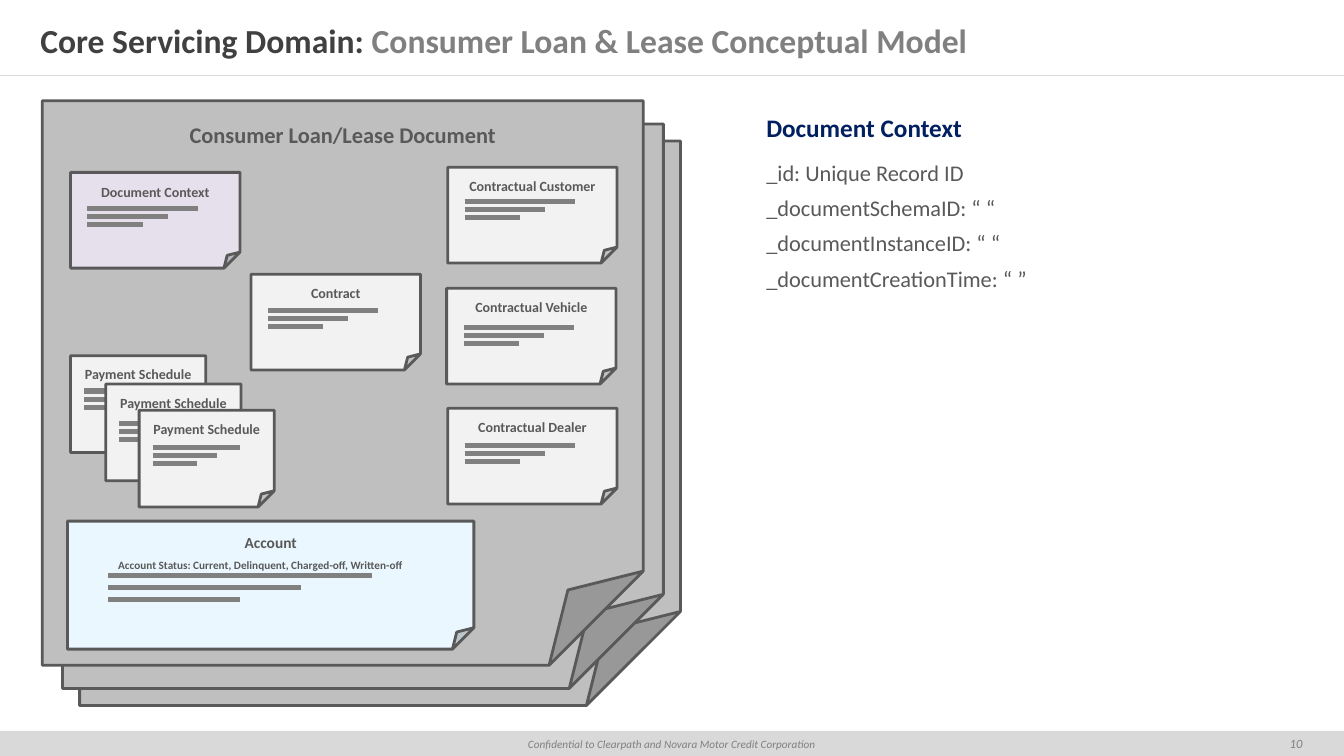
from dataclasses import dataclass

from lxml import etree
from pptx import Presentation
from pptx.dml.color import RGBColor
from pptx.enum.shapes import MSO_CONNECTOR, MSO_SHAPE
from pptx.enum.text import MSO_ANCHOR, MSO_AUTO_SIZE, PP_ALIGN
from pptx.oxml.ns import qn
from pptx.util import Emu, Pt

RECT, FOLD = MSO_SHAPE.RECTANGLE, MSO_SHAPE.FOLDED_CORNER
LINE = MSO_CONNECTOR.STRAIGHT
TOP, MIDDLE = MSO_ANCHOR.TOP, MSO_ANCHOR.MIDDLE
LEFT, CENTER, JUST = PP_ALIGN.LEFT, PP_ALIGN.CENTER, PP_ALIGN.JUSTIFY

PX = 9144  # one px is a hundredth of an inch
WIDE, HIGH = 1333, 750
FONT = "Calibri"
INK, GRAY, PALE = "595959", "808080", "D9D9D9"
BARS = (0.65, 0.475, 0.325)  # bar lengths as shares of the card width


@dataclass
class Card:
    name: str
    x: int
    y: int
    bar: int  # first bar, below the card top
    w: int = 168
    h: int = 95
    fill: str = "F2F2F2"
    size: int = 10
    label: int = 5  # label box, below the card top
    step: int = 8


CARDS = [
    *[Card("Payment Schedule", x, y, bar, w=134, h=96)
      for x, y, bar in ((70, 353, 35), (105, 381, 39), (138, 407, 37))],
    Card("Contractual Customer", 444, 166, 34),
    Card("Contractual Vehicle", 443, 286, 39),
    Card("Contractual Dealer", 444, 405, 37),
    Card("Account", 67, 517, 54, w=403, h=127, fill="EBF7FF", size=11,
         label=7, step=12),
    Card("Contract", 249, 272, 36),
    Card("Document Context", 70, 171, 36, fill="E6E0EC", label=6),
]
PAGES = ((79, 140), (62, 123), (42, 100))
FIELDS = ("_id: Unique Record ID", "_documentSchemaID: “ “",
          "_documentInstanceID: “ “", "_documentCreationTime: “ ”")


def px(*nums: float) -> list[Emu]:
    return [Emu(round(n * PX)) for n in nums]


def color(hue: str) -> RGBColor:
    return RGBColor.from_string(hue)


def style(item, size: int, hue: str, bold: bool = False,
          slant: bool = False) -> None:
    font = item.font
    font.name, font.size = FONT, Pt(size)
    font.bold, font.italic = bold, slant
    font.color.rgb = color(hue)


def frame(shape, x: int = 10, y: int = 5, anchor=TOP):
    body = shape.text_frame
    body.word_wrap = True
    body.auto_size = MSO_AUTO_SIZE.NONE
    body.vertical_anchor = anchor
    body.margin_left, body.margin_right = px(x, x)
    body.margin_top, body.margin_bottom = px(y, y)
    return body


def block(shapes, kind, x: int, y: int, w: int, h: int, fill: str,
          edge: str = ""):
    shape = shapes.add_shape(kind, *px(x, y, w, h))
    shape.shadow.inherit = False
    shape.fill.solid()
    shape.fill.fore_color.rgb = color(fill)
    if edge:
        shape.line.color.rgb = color(edge)
        shape.line.width = Pt(2)
    else:
        shape.line.fill.background()
    return shape


def rule(shapes, x: float, y: int, w: float, hue: str, width: float) -> None:
    line = shapes.add_connector(LINE, *px(x, y, x + w, y))
    line.line.color.rgb = color(hue)
    line.line.width = Pt(width)
    etree.SubElement(line._element.spPr, qn("a:effectLst"))


def label(shapes, text: str, x: int, y: int, w: int, h: int, size: int) -> None:
    body = frame(shapes.add_textbox(*px(x, y, w, h)))
    body.text = text
    para = body.paragraphs[0]
    para.alignment = CENTER
    style(para.runs[0], size, INK, bold=True)


def draw(shapes, card: Card) -> None:
    group = shapes.add_group_shape().shapes
    block(group, FOLD, card.x, card.y, card.w, card.h, card.fill, INK)
    label(group, card.name, card.x, card.y + card.label, card.w, 26, card.size)
    for i, share in enumerate(BARS):
        rule(group, card.x + card.w / 10, card.y + card.bar + i * card.step,
             card.w * share, GRAY, 3.75)


def footer(shapes) -> None:
    strip = block(shapes, RECT, 0, 725, WIDE, 25, PALE)
    number = shapes.add_textbox(*px(1250, 725, 71, 25))
    parts = (
        (frame(strip, 10, 6),
         "Confidential to Clearpath and Novara Motor Credit Corporation", 8),
        (frame(number, 10, 10, MIDDLE), "10", 9),
    )
    for body, text, size in parts:
        body.text = text
        para = body.paragraphs[0]
        para.alignment = CENTER
        style(para.runs[0], size, GRAY, slant=True)


def heading(title) -> None:
    title.left, title.top, title.width, title.height = px(0, 16, WIDE, 48)
    para = frame(title, 40, 20, MIDDLE).paragraphs[0]
    para.alignment = LEFT
    for text, hue in (("Core Servicing Domain: ", "404040"),
                      ("Consumer Loan & Lease Conceptual Model", GRAY)):
        run = para.add_run()
        run.text = text
        style(run, 24, hue, bold=True)


def panel(shapes) -> None:
    body = frame(block(shapes, RECT, 720, 91, 581, 607, "FFFFFF"), 40, 20)
    body.text = "\n".join(("Document Context", *FIELDS))
    for i, para in enumerate(body.paragraphs):
        para.alignment = JUST
        para.space_after = Pt(6 if i else 12)
        if i:
            style(para.runs[0], 16, INK)
        else:
            style(para.runs[0], 18, "002060", bold=True)


def main() -> None:
    deck = Presentation()
    deck.slide_width, deck.slide_height = px(WIDE, HIGH)
    slide = deck.slides.add_slide(deck.slide_layouts[5])
    shapes = slide.shapes

    # Title, divider and footer
    heading(shapes.title)
    rule(shapes, 0, 75, WIDE, PALE, 0.25)
    footer(shapes)

    # Field list
    panel(shapes)

    # Stacked document pages
    for x, y in PAGES:
        block(shapes, FOLD, x, y, 596, 560, "BFBFBF", INK)
    label(shapes, "Consumer Loan/Lease Document", 42, 115, 596, 37, 16)

    # Cards on the front page
    for card in CARDS:
        draw(shapes, card)
    label(shapes, "Account Status: Current, Delinquent, Charged-off, Written-off",
          100, 549, 317, 24, 8)

    deck.save("out.pptx")


if __name__ == "__main__":
    main()
